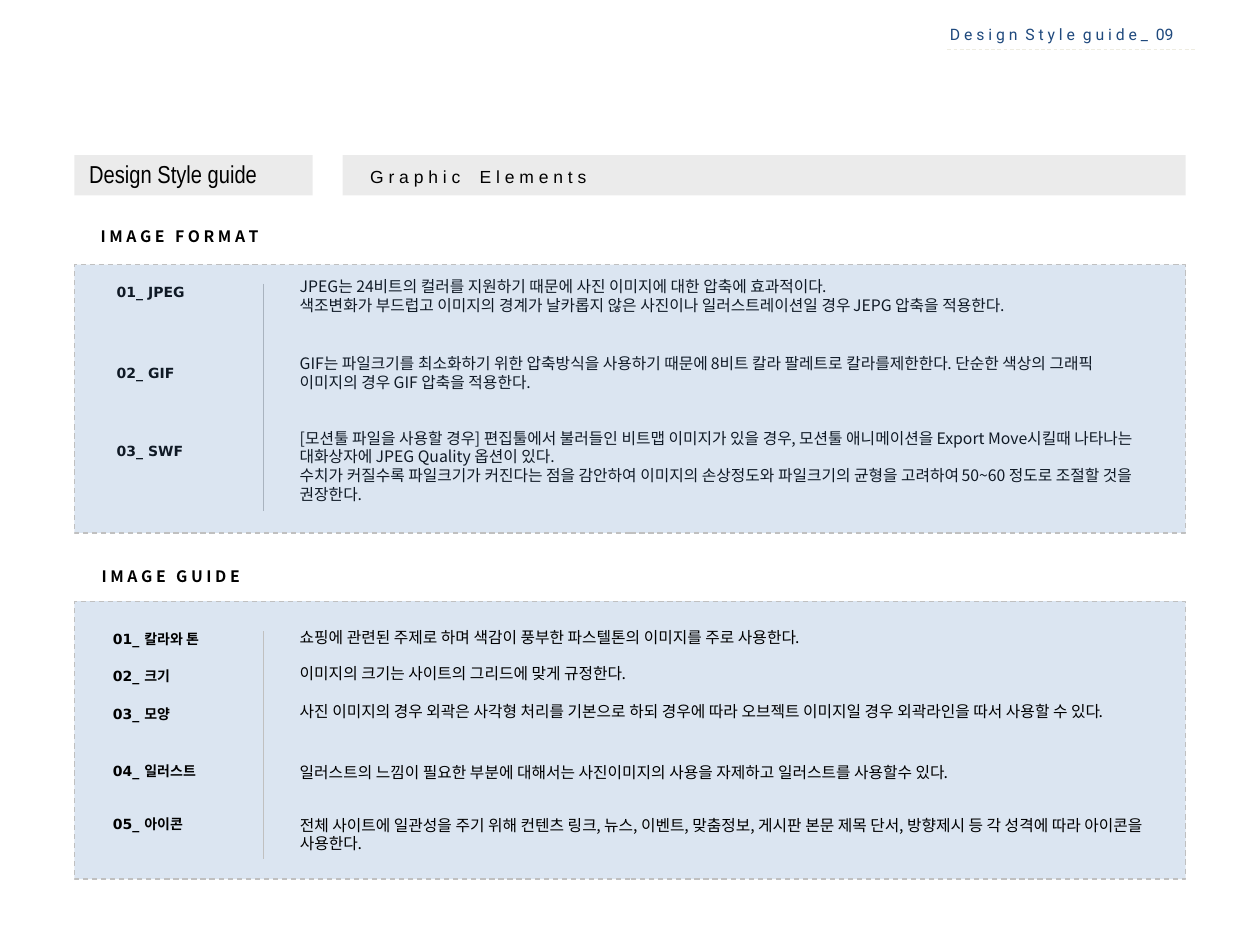
"""Build the image format and image guide page of a design style guide."""
from lxml import etree
from pptx import Presentation
from pptx.dml.color import RGBColor
from pptx.enum.dml import MSO_LINE
from pptx.enum.shapes import MSO_CONNECTOR, MSO_SHAPE
from pptx.enum.text import MSO_ANCHOR
from pptx.oxml.ns import qn
from pptx.util import Pt

RECTANGLE = MSO_SHAPE.RECTANGLE
STRAIGHT = MSO_CONNECTOR.STRAIGHT
DASH = MSO_LINE.DASH
TOP, MIDDLE = MSO_ANCHOR.TOP, MSO_ANCHOR.MIDDLE

BLACK = RGBColor(0x00, 0x00, 0x00)
WHITE = RGBColor(0xFF, 0xFF, 0xFF)
GRAY = RGBColor(0xC0, 0xC0, 0xC0)
BLUE = RGBColor(0x4F, 0x81, 0xBD)
NAVY = RGBColor(0x1F, 0x49, 0x7D)
CREAM = RGBColor(0xEE, 0xEC, 0xE1)

KOREAN = "Noto Sans CJK KR"
LABEL = "DejaVu Sans"

LEFT, WIDTH = 42.5, 635
DIVIDER_X = 150.5
BODY_X = 164.2

FORMATS = [
    (158.4, "01_ JPEG", 154.8, 518.4, [
        "JPEG는 24비트의 컬러를 지원하기 때문에 사진 이미지에 대한 압축에 효과적이다.",
        "색조변화가 부드럽고 이미지의 경계가 날카롭지 않은 사진이나 일러스트레이션일 경우 "
        "JEPG 압축을 적용한다."]),
    (204.2, "02_ GIF", 198.7, 484.6, [
        "GIF는 파일크기를 최소화하기 위한 압축방식을 사용하기 때문에 8비트 칼라 팔레트로 "
        "칼라를제한한다. 단순한 색상의 그래픽 이미지의 경우 GIF 압축을 적용한다."]),
    (249.3, "03_ SWF", 241.2, 513.4, [
        "[모션툴 파일을 사용할 경우] 편집툴에서 불러들인 비트맵 이미지가 있을 경우, "
        "모션툴 애니메이션을 Export Move시킬때 나타나는 대화상자에 JPEG Quality 옵션이 있다.",
        "수치가 커질수록 파일크기가 커진다는 점을 감안하여 이미지의 손상정도와 파일크기의 "
        "균형을 고려하여 50~60 정도로 조절할 것을 권장한다."]),
]

GUIDES = [
    (356.4, "칼라와 톤", 355, 518.4,
     "쇼핑에 관련된 주제로 하며 색감이 풍부한 파스텔톤의 이미지를 주로 사용한다."),
    (377.6, "크기", 375.8, 484.6, "이미지의 크기는 사이트의 그리드에 맞게 규정한다."),
    (399.6, "모양", 397.7, 513.4,
     "사진 이미지의 경우 외곽은 사각형 처리를 기본으로 하되 경우에 따라 오브젝트 "
     "이미지일 경우 외곽라인을 따서 사용할 수 있다."),
    (432, "일러스트", 432.3, 513.4,
     "일러스트의 느낌이 필요한 부분에 대해서는 사진이미지의 사용을 자제하고 "
     "일러스트를 사용할수 있다."),
    (462.2, "아이콘", 462.3, 507.6,
     "전체 사이트에 일관성을 주기 위해 컨텐츠 링크, 뉴스, 이벤트, 맞춤정보, 게시판 "
     "본문 제목 단서, 방향제시 등 각 성격에 따라 아이콘을 사용한다."),
]


def add_block(page, left, top, width, height, color, opacity=100, outlined=False):
    """Add a flat rectangle, optionally translucent or with a dashed outline."""
    block = page.shapes.add_shape(RECTANGLE, Pt(left), Pt(top), Pt(width), Pt(height))
    block.shadow.inherit = False
    block.fill.solid()
    block.fill.fore_color.rgb = color
    if opacity < 100:
        color_node = block._element.spPr.find(qn("a:solidFill"))[0]
        etree.SubElement(color_node, qn("a:alpha")).set("val", str(opacity * 1000))
    if outlined:
        block.line.color.rgb = GRAY
        block.line.width = Pt(0.75)
        block.line.dash_style = DASH
    else:
        block.line.fill.background()


def add_rule(page, start, end, color, width, dash=None):
    """Add a straight line between two points."""
    rule = page.shapes.add_connector(STRAIGHT, *(Pt(value) for value in start + end))
    rule.line.color.rgb = color
    rule.line.width = Pt(width)
    if dash:
        rule.line.dash_style = dash
    etree.SubElement(rule._element.spPr, qn("a:effectLst"))


def add_span(para, text, font, size, color=BLACK, bold=False):
    """Add one run with the same font for Latin and Korean text."""
    span = para.add_run()
    span.text = text
    span.font.name = font
    span.font.size = Pt(size)
    span.font.bold = bold
    span.font.color.rgb = color
    etree.SubElement(span._r.rPr, qn("a:ea")).set("typeface", font)
    return span


def add_box(page, left, top, width, height, anchor=TOP, before=0):
    """Add an empty wrapping text box and return its frame."""
    box = page.shapes.add_textbox(Pt(left), Pt(top), Pt(width), Pt(height))
    frame = box.text_frame
    frame.word_wrap = True
    frame.vertical_anchor = anchor
    frame.paragraphs[0].space_before = Pt(before)
    return frame


def add_spaced_title(frame, words, gap, font, size, color=BLACK, bold=False):
    """Add words of spread letters, with a widened space between the words."""
    para = frame.paragraphs[0]
    for index, word in enumerate(words):
        if index:
            space = add_span(para, " ", font, size, color, bold)
            space._r.rPr.set("spc", str(round(gap * 100)))
        add_span(para, " ".join(word), font, size, color, bold)


def add_heading(page, left, top, words):
    """Add a bold section heading."""
    frame = add_box(page, left, top, 115, 18, before=2.2)
    add_spaced_title(frame, words, 4, KOREAN, 9, bold=True)


def add_label(page, left, top, spans):
    """Add a bold item label from pairs of text and font."""
    frame = add_box(page, left, top, 80, 17.3, MIDDLE, before=2)
    for text, font in spans:
        add_span(frame.paragraphs[0], text, font, 8, bold=True)


def add_description(page, top, width, lines):
    """Add the description of an item, one paragraph a line."""
    frame = add_box(page, BODY_X, top, width, 18 if len(lines) == 1 else 28.8)
    for index, line in enumerate(lines):
        para = frame.add_paragraph() if index else frame.paragraphs[0]
        add_span(para, line, KOREAN, 9)


def add_header(page):
    """Add the page marker and the title bar."""
    frame = add_box(page, 535.7, 10.8, 155, 18, MIDDLE)
    add_spaced_title(frame, ["Design", "Style", "guide_", ["09"]], 2.2, "Roboto", 9, NAVY)
    add_rule(page, (541.4, 28), (683.3, 28), CREAM, 0.5, DASH)
    add_block(page, LEFT, 88.6, WIDTH, 23, GRAY, 30)
    frame = add_box(page, 204.5, 91.4, 160, 19.4, MIDDLE)
    add_spaced_title(frame, ["Graphic", "Elements"], 8.3, "Arial", 10)
    frame = add_box(page, 43.9, 87.1, 136, 24.5, MIDDLE)
    add_span(frame.paragraphs[0], "Design Style guide", "Arial Narrow", 14)
    add_block(page, 178.6, 84.2, 17.2, 28, WHITE)


def add_formats(page):
    """Add the image format section, its panel tinting the text."""
    add_heading(page, 50.4, 126, ["IMAGE", "FORMAT"])
    for label_top, label, top, width, lines in FORMATS:
        add_label(page, 59.6, label_top, [(label, LABEL)])
        add_description(page, top, width, lines)
    add_rule(page, (DIVIDER_X, 162), (DIVIDER_X, 292.3), GRAY, 0.75)
    add_block(page, LEFT, 151.2, WIDTH, 153.4, BLUE, 20, outlined=True)


def add_guides(page):
    """Add the image guide section on its panel."""
    add_block(page, LEFT, 343.6, WIDTH, 158.8, BLUE, 20, outlined=True)
    add_heading(page, 51, 320.4, ["IMAGE", "GUIDE"])
    for number, (label_top, label, top, width, line) in enumerate(GUIDES, 1):
        add_label(page, 57.4, label_top, [(f"{number:02}_ ", LABEL), (label, KOREAN)])
        add_description(page, top, width, [line])
    add_rule(page, (DIVIDER_X, 360.7), (DIVIDER_X, 491), GRAY, 0.75)


def main():
    """Build and save the deck."""
    deck = Presentation()
    deck.slide_width, deck.slide_height = Pt(720), Pt(540)
    page = deck.slides.add_slide(deck.slide_layouts[6])
    add_header(page)
    add_formats(page)
    add_guides(page)
    deck.save("out.pptx")


main()
